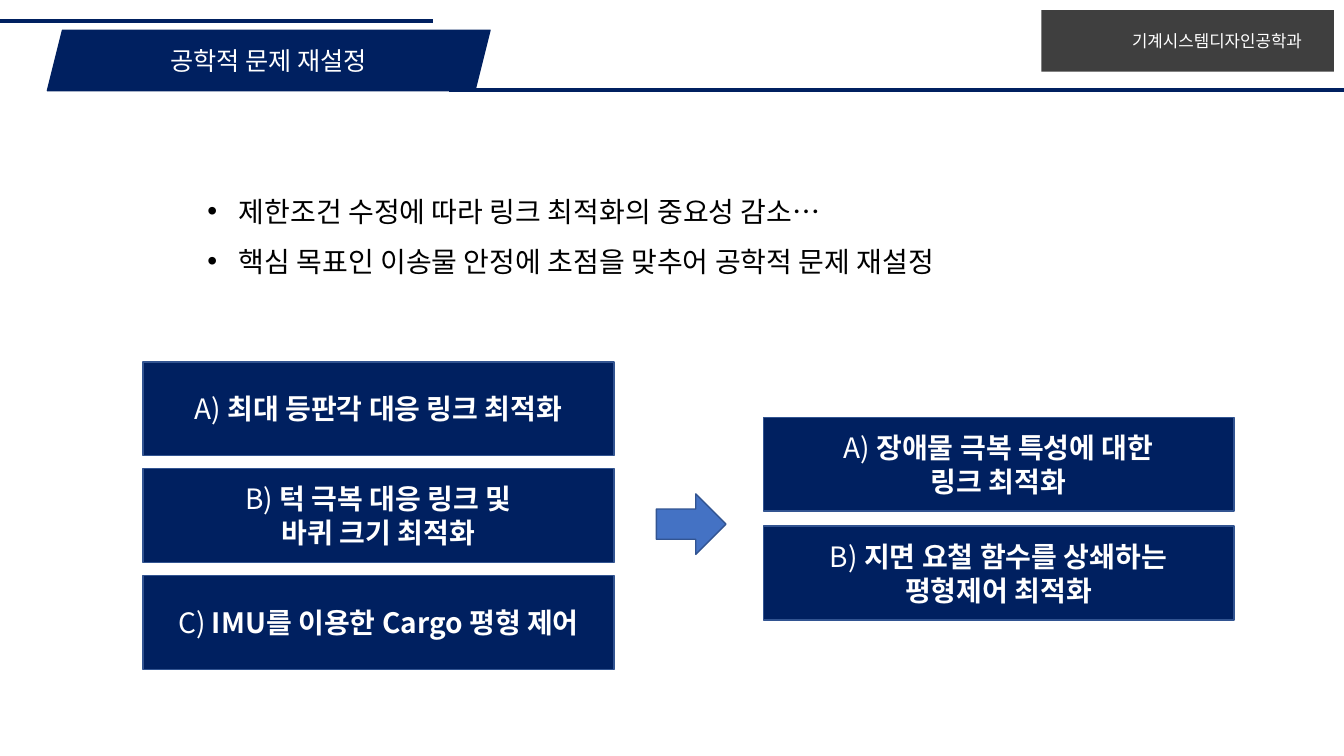
from lxml import etree
from pptx import Presentation
from pptx import util as u
from pptx.dml.color import RGBColor
from pptx.enum import shapes, text
from pptx.oxml.ns import qn

PX = 9144
FONT = "Noto Sans CJK KR"
NAVY, WHITE, EDGE = "002060", "FFFFFF", "325491"
BOX_WIDTH, BOX_HEIGHT = 467, 93


def px(*lengths):
    """Turn whole px into EMU."""
    return [u.Emu(length * PX) for length in lengths]


def paint(color_format, color):
    """Set a hex colour on a colour format."""
    color_format.rgb = RGBColor.from_string(color)


def style(run, size, color, bold=False):
    """Format a run for Latin and Korean letters."""
    run.font.size = u.Pt(size)
    run.font.bold = bold
    run.font.name = FONT
    paint(run.font.fill.fore_color if run.font.fill.type else run.font.color, color)
    korean = etree.SubElement(run.font._element, qn("a:ea"))
    korean.set("typeface", FONT)


def add_block(slide, kind, place, fill, edge=None):
    """Add a filled preset shape with an optional thin edge."""
    block = slide.shapes.add_shape(kind, *px(*place))
    block.shadow.inherit = False
    block.fill.solid()
    paint(block.fill.fore_color, fill)
    if edge:
        paint(block.line.color, edge)
        block.line.width = u.Pt(1)
    else:
        block.line.fill.background()
    block.text_frame.vertical_anchor = text.MSO_ANCHOR.MIDDLE
    return block


def add_rule(slide, left, right, y):
    """Add a horizontal header rule."""
    rule = slide.shapes.add_connector(shapes.MSO_CONNECTOR.STRAIGHT, *px(left, y, right, y))
    paint(rule.line.color, NAVY)
    rule.line.width = u.Pt(3)
    etree.SubElement(rule._element.spPr, qn("a:effectLst"))


def add_label(slide, place, lines, size, color):
    """Add a text box with one paragraph for each line."""
    label = slide.shapes.add_textbox(*px(*place))
    frame = label.text_frame
    frame.word_wrap = True
    frame.text = "\n".join(lines)
    for paragraph in frame.paragraphs:
        style(paragraph.runs[0], size, color)
    return frame


def add_bullets(slide, place, lines):
    """Add a bulleted list with wide line spacing."""
    for paragraph in add_label(slide, place, lines, 20, "000000").paragraphs:
        paragraph.line_spacing = 1.5
        properties = paragraph._p.get_or_add_pPr()
        properties.set("marL", str(31 * PX))
        properties.set("indent", str(-31 * PX))
        etree.SubElement(properties, qn("a:buFont")).set("typeface", "Arial")
        etree.SubElement(properties, qn("a:buChar")).set("char", "•")


def add_problems(slide, left, top, pitch, problems):
    """Stack lettered problem boxes downwards."""
    for row, (first_line, *more_lines) in enumerate(problems):
        place = (left, top + row * pitch, BOX_WIDTH, BOX_HEIGHT)
        frame = add_block(slide, shapes.MSO_SHAPE.RECTANGLE, place, NAVY, EDGE).text_frame
        frame.text = "\n".join([f"{'ABC'[row]}) ", *more_lines])
        letter = frame.paragraphs[0].runs[0]
        frame.paragraphs[0].add_run().text = first_line
        for paragraph in frame.paragraphs:
            paragraph.alignment = text.PP_ALIGN.CENTER
            for run in paragraph.runs:
                style(run, 20, WHITE, bold=run.text != letter.text)


def add_header(slide):
    """Add the title banner, department tag and rules."""
    banner = add_block(slide, shapes.MSO_SHAPE.PARALLELOGRAM, (47, 30, 439, 60), NAVY, NAVY)
    banner.text_frame.text = "공학적 문제 재설정"
    title = banner.text_frame.paragraphs[0]
    title.alignment = text.PP_ALIGN.CENTER
    style(title.runs[0], 18, WHITE)
    add_block(slide, shapes.MSO_SHAPE.RECTANGLE, (1033, 10, 290, 61), "3F3F3F")
    add_label(slide, (1113, 26, 240, 30), ["기계시스템디자인공학과"], 12, WHITE)
    add_rule(slide, 445, 1333, 89)
    add_rule(slide, 0, 429, 21)


def main():
    """Build the slide and save it."""
    deck = Presentation()
    deck.slide_width, deck.slide_height = px(1333, 750)
    slide = deck.slides.add_slide(deck.slide_layouts[6])
    add_header(slide)
    add_problems(slide, 142, 359, 106, [
        ["최대 등판각 대응 링크 최적화"],
        ["턱 극복 대응 링크 및", "바퀴 크기 최적화"],
        ["IMU를 이용한 Cargo 평형 제어"],
    ])
    add_block(slide, shapes.MSO_SHAPE.RIGHT_ARROW, (651, 490, 69, 60), "4472C4", EDGE)
    add_problems(slide, 757, 414, 108, [
        ["장애물 극복 특성에 대한", "링크 최적화"],
        ["지면 요철 함수를 상쇄하는", "평형제어 최적화"],
    ])
    add_bullets(slide, (196, 171, 980, 105), [
        "제한조건 수정에 따라 링크 최적화의 중요성 감소…",
        "핵심 목표인 이송물 안정에 초점을 맞추어 공학적 문제 재설정",
    ])
    deck.save("out.pptx")


if __name__ == "__main__":
    main()
